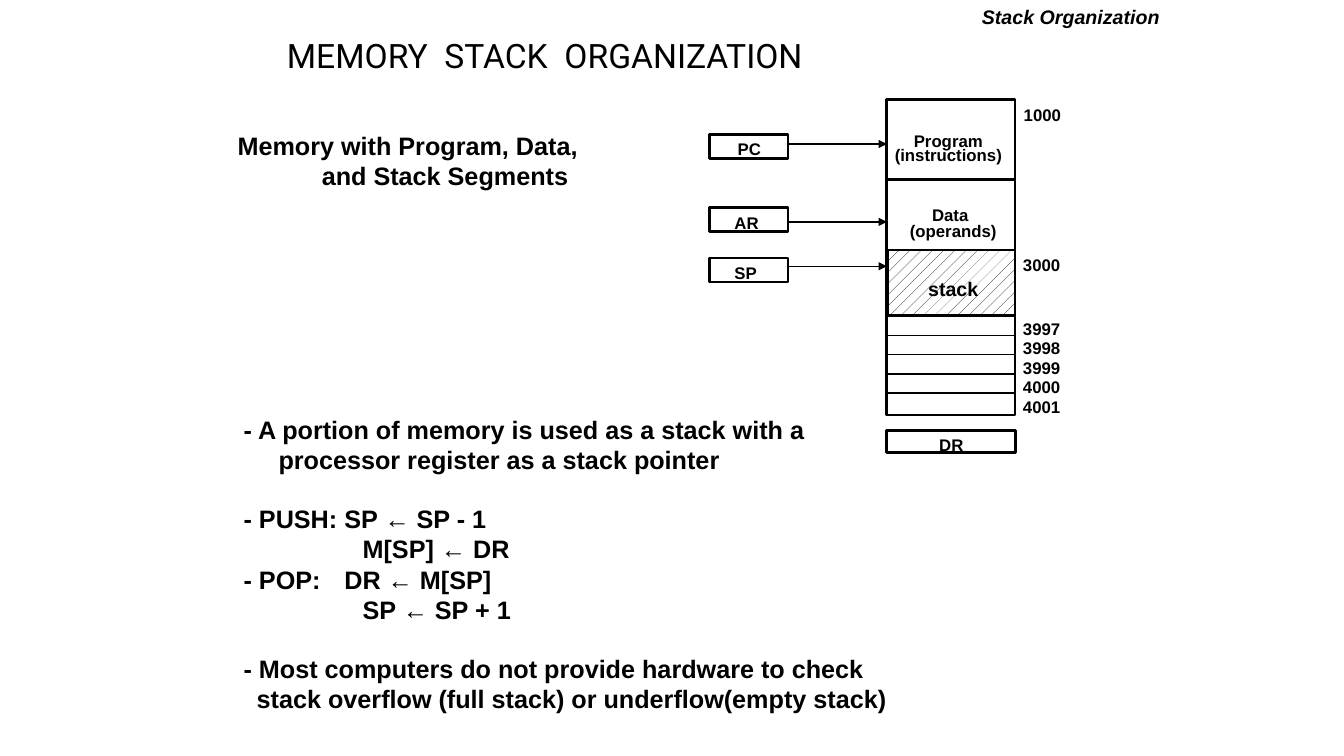
from pptx import Presentation
from pptx.dml.color import RGBColor
from pptx.enum.dml import MSO_PATTERN
from pptx.enum.shapes import MSO_CONNECTOR, MSO_SHAPE
from pptx.enum.text import MSO_ANCHOR, PP_ALIGN
from pptx.oxml.ns import qn
from pptx.util import Cm, Pt
from lxml.etree import SubElement

INK = "000000"
PAPER = "FFFFFF"


def rgb(value):
    return RGBColor.from_string(value)


class Diagram:
    font = "Arial"

    def __init__(self, slide):
        self.s = slide

    def text(self, x, y, w, h, lines, size=12, font=font, bold=True,
             italic=False, align=PP_ALIGN.LEFT, anchor=MSO_ANCHOR.TOP):
        tf = self.s.shapes.add_textbox(Cm(x), Cm(y), Cm(w), Cm(h)).text_frame
        tf.word_wrap = True
        tf.vertical_anchor = anchor
        tf.margin_right = 0
        for i, (line, indent, tab, gap) in enumerate(lines):
            p = tf.paragraphs[0] if i == 0 else tf.add_paragraph()
            p.text = line
            p.alignment = align
            p.space_before = Pt(gap)
            pPr = p._p.get_or_add_pPr()
            pPr.set("marL", str(Cm(indent)))
            pPr.set("indent", "0")
            if tab:
                stops = SubElement(pPr, qn("a:tabLst"))
                SubElement(stops, qn("a:tab"), pos=str(Cm(tab)), algn="l")
            for r in p.runs:
                f = r.font
                f.name, f.size, f.bold, f.italic = font, Pt(size), bold, italic
                f.color.rgb = rgb(INK)

    def label(self, x, y, line, w=3, size=12):
        self.text(x, y, w, 0.76, [(line, 0, 0, 0)], size)

    def box(self, x, y, w, h, hatched=False):
        sp = self.s.shapes.add_shape(MSO_SHAPE.RECTANGLE, Cm(x), Cm(y), Cm(w), Cm(h))
        sp.shadow.inherit = False
        sp.line.color.rgb = rgb(INK)
        sp.line.width = Pt(2)
        if hatched:
            sp.fill.patterned()
            sp.fill.pattern = MSO_PATTERN.PERCENT_10
            sp.fill.fore_color.rgb = rgb(INK)
            sp.fill.back_color.rgb = rgb(PAPER)
        else:
            sp.fill.background()

    def line(self, x1, x2, y, width=1, arrow=False):
        c = self.s.shapes.add_connector(MSO_CONNECTOR.STRAIGHT, Cm(x1), Cm(y), Cm(x2), Cm(y))
        c.line.color.rgb = rgb(INK)
        c.line.width = Pt(width)
        if arrow:
            SubElement(c.line._get_or_add_ln(), qn("a:tailEnd"), type="triangle")
        SubElement(c._element.spPr, qn("a:effectLst"))


def main():
    prs = Presentation()
    prs.slide_width, prs.slide_height = Cm(33.87), Cm(19.05)
    d = Diagram(prs.slides.add_slide(prs.slide_layouts[6]))

    d.text(6.98, 0.58, 20.5, 1.6, [("MEMORY  STACK  ORGANIZATION", 0, 0, 0)], 24,
           font="Roboto", bold=False, anchor=MSO_ANCHOR.MIDDLE)
    d.text(23, 0, 6.23, 0.84, [("Stack Organization", 0, 0, 0)], 14,
           italic=True, align=PP_ALIGN.RIGHT)
    d.text(5.74, 3.15, 9.8, 1.78, [
        ("Memory with Program, Data,", 0, 0, 0),
        ("and Stack Segments", 2.12, 0, 0),
    ], 18)
    d.text(5.89, 10.31, 17.5, 8.41, [
        ("- A portion of memory is used as a stack with a", 0, 0, 0),
        ("processor register as a stack pointer", 0.88, 0, 0),
        ("- PUSH:\tSP ← SP - 1", 0, 3, 20.7),
        ("M[SP] ← DR", 3, 0, 0),
        ("- POP:\tDR ← M[SP]", 0, 3, 0),
        ("SP ← SP + 1", 3, 0, 0),
        ("- Most computers do not provide hardware to check", 0, 0, 20.7),
        ("stack overflow (full stack) or underflow(empty stack)", 0.33, 0, 0),
    ], 18)

    left, right = 22.35, 25.58
    d.box(left, 2.51, right - left, 7.95)
    d.line(left, right, 4.52, width=2)
    d.box(left + 0.03, 6.3, 3.2, 1.65, hatched=True)
    for x, y, segment in [(22.78, 3.16, "Program"), (22.3, 3.53, "(instructions)"),
                          (23.24, 5.04, "Data"), (22.68, 5.44, "(operands)")]:
        d.label(x, y, segment, w=3.4)
    d.label(23.14, 6.86, "stack", size=14)

    d.label(25.55, 2.51, "1000")
    d.label(25.53, 6.3, "3000")
    for i in range(5):
        d.line(left, right, 7.98 + 0.48 * i)
        d.label(25.53, 7.9 + 0.49 * i, str(3997 + i))

    for name, x, y, arrow_y in [("PC", 18.34, 3.38, 3.63), ("AR", 18.26, 5.23, 5.59),
                                ("SP", 18.26, 6.5, 6.71)]:
        d.box(17.88, y, 1.98, 0.61)
        d.label(x, y, name)
        d.line(19.86, left, arrow_y, arrow=True)

    d.box(left, 10.85, 3.25, 0.56)
    d.label(23.42, 10.82, "DR")
    prs.save("out.pptx")


if __name__ == "__main__":
    main()
